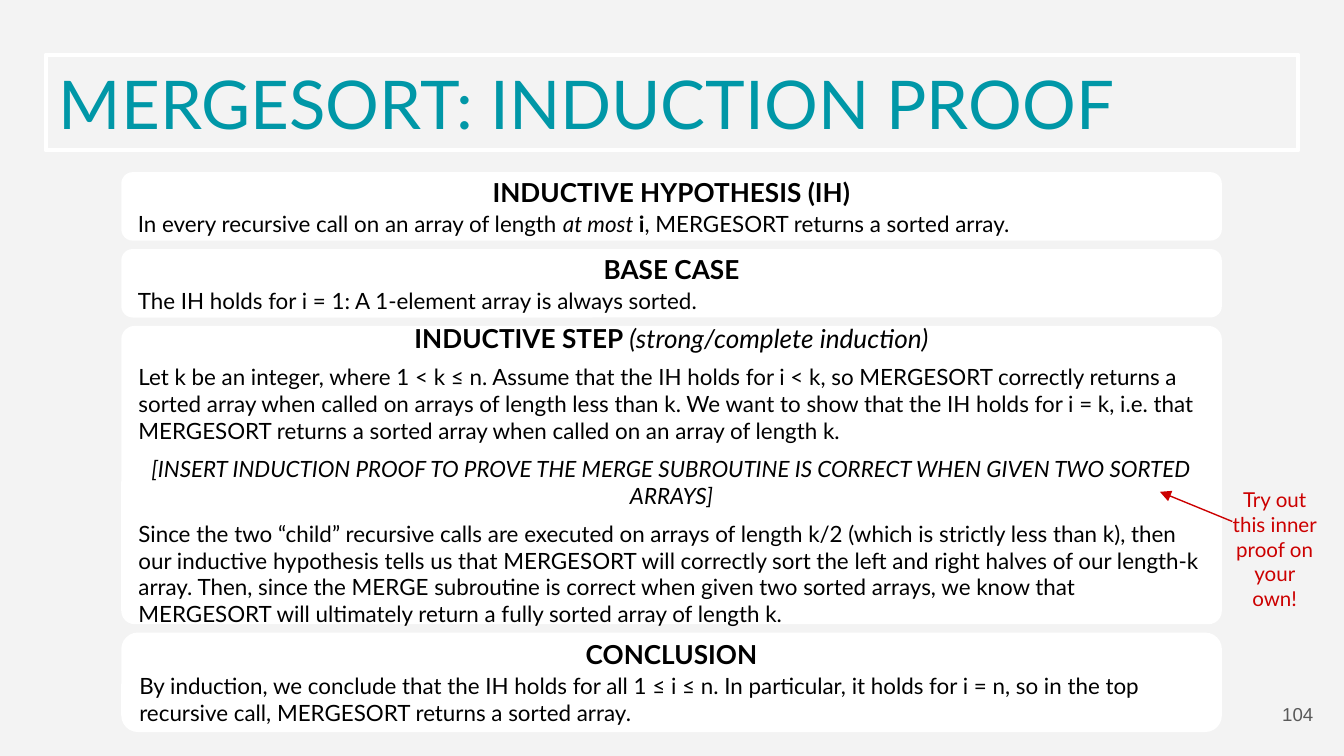
from lxml.etree import SubElement
from pptx import Presentation
from pptx.dml.color import RGBColor
from pptx.enum.shapes import MSO_CONNECTOR, MSO_SHAPE
from pptx.enum.text import MSO_ANCHOR, PP_ALIGN as Align
from pptx.oxml.ns import qn
from pptx.util import Pt

PAPER, WHITE, BLACK = "F3F3F3", "FFFFFF", "000000"
TEAL, RED, GRAY = "0097A7", "CC0000", "595959"

TITLE = "MERGESORT: INDUCTION PROOF"
HINT = "Try out this inner proof on your own!"
PAGE = "104"

# Runs are (text, style), style being any of "b" and "i".
# Paragraphs are (alignment, size, space before, space after, runs).
# Cards are (height, corner ratio, paragraphs).
CARDS = [
    (36.7, 0.167, [
        (Align.CENTER, 14, 0, 0, [("INDUCTIVE HYPOTHESIS (IH)", "b")]),
        (Align.LEFT, 12, 1.2, 0, [
            ("In every recursive call on an array of length ", ""),
            ("at most ", "i"), ("i", "b"),
            (", MERGESORT returns a sorted array.", "")]),
    ]),
    (36.7, 0.167, [
        (Align.CENTER, 14, 0, 0, [("BASE CASE", "b")]),
        (Align.LEFT, 12, 1.2, 0, [
            ("The IH holds for i = 1: A 1-element array is always sorted.", "")]),
    ]),
    (159.8, 0.045, [
        (Align.CENTER, 14, 0, 0, [
            ("INDUCTIVE STEP ", "b"), ("(strong/complete induction)", "i")]),
        (Align.LEFT, 12, 4.8, 0, [
            ("Let k be an integer, where 1 < k ≤ n. Assume that the IH holds for "
             "i < k, so MERGESORT correctly returns a sorted array when called on "
             "arrays of length less than k. We want to show that the IH holds for "
             "i = k, i.e. that MERGESORT returns a sorted array when called on an "
             "array of length k.", "")]),
        (Align.CENTER, 12, 6, 0, [
            ("[INSERT INDUCTION PROOF TO PROVE THE MERGE SUBROUTINE IS CORRECT "
             "WHEN GIVEN TWO SORTED ARRAYS]", "i")]),
        (Align.LEFT, 12, 6, 6, [
            ("Since the two “child” recursive calls are executed on arrays of "
             "length k/2 (which is strictly less than k), then our inductive "
             "hypothesis tells us that MERGESORT will correctly sort the left and "
             "right halves of our length-k array. Then, since the MERGE subroutine "
             "is correct when given two sorted arrays, we know that MERGESORT will "
             "ultimately return a fully sorted array of length k.", "")]),
    ]),
    (53.3, 0.167, [
        (Align.CENTER, 14, 0, 0, [("CONCLUSION", "b")]),
        (Align.LEFT, 12, 1.2, 0, [
            ("By induction, we conclude that the IH holds for all 1 ≤ i ≤ n. In "
             "particular, it holds for i = n, so in the top recursive call, "
             "MERGESORT returns a sorted array.", "")]),
    ]),
]
CARD_LEFT, CARD_TOP, CARD_WIDTH, CARD_GAP = 65, 92.2, 589.6, 4.5


def rgb(code):
    return RGBColor.from_string(code)


def write(shape, paragraphs, color=BLACK, font="Lato"):
    frame = shape.text_frame
    frame.word_wrap = True
    frame.vertical_anchor = MSO_ANCHOR.MIDDLE
    frame.margin_left = frame.margin_right = Pt(7.2)
    frame.margin_top = frame.margin_bottom = Pt(7.2)
    for index, (align, size, before, after, runs) in enumerate(paragraphs):
        paragraph = frame.add_paragraph() if index else frame.paragraphs[0]
        paragraph.alignment = align
        paragraph.space_before, paragraph.space_after = Pt(before), Pt(after)
        for text, style in runs:
            run = paragraph.add_run()
            run.text = text
            run.font.name, run.font.size = font, Pt(size)
            run.font.bold, run.font.italic = "b" in style, "i" in style
            run.font.color.rgb = rgb(color)


def add_label(slide, box, text, align, size, color, font="Lato"):
    label = slide.shapes.add_textbox(*map(Pt, box))
    write(label, [(align, size, 0, 0, [(text, "")])], color, font)


def add_title(slide):
    title = slide.shapes.add_shape(MSO_SHAPE.RECTANGLE, *map(Pt, (24.5, 29.3, 671, 51.3)))
    title.shadow.inherit = False
    title.fill.background()
    title.line.color.rgb = rgb(WHITE)
    title.line.width = Pt(2.25)
    write(title, [(Align.LEFT, 36, 0, 0, [(TITLE, "")])], TEAL)


def add_cards(slide):
    top = CARD_TOP
    for height, corner, paragraphs in CARDS:
        card = slide.shapes.add_shape(MSO_SHAPE.ROUNDED_RECTANGLE, Pt(CARD_LEFT),
                                      Pt(top), Pt(CARD_WIDTH), Pt(height))
        card.adjustments[0] = corner
        card.shadow.inherit = False
        card.fill.solid()
        card.fill.fore_color.rgb = rgb(WHITE)
        card.line.fill.background()
        write(card, paragraphs)
        top += height + CARD_GAP


def add_arrow(slide, start, end):
    arrow = slide.shapes.add_connector(MSO_CONNECTOR.STRAIGHT, *map(Pt, start + end))
    arrow.line.color.rgb = rgb(RED)
    arrow.line.width = Pt(0.75)
    SubElement(arrow.line._get_or_add_ln(), qn("a:tailEnd"), type="triangle")
    SubElement(arrow._element.spPr, qn("a:effectLst"))


def main():
    deck = Presentation()
    deck.slide_width, deck.slide_height = Pt(720), Pt(405)
    slide = deck.slides.add_slide(deck.slide_layouts[6])
    slide.background.fill.solid()
    slide.background.fill.fore_color.rgb = rgb(PAPER)
    add_title(slide)
    add_cards(slide)
    add_label(slide, (651.6, 255.6, 62.6, 77), HINT, Align.CENTER, 11, RED)
    add_arrow(slide, (660.2, 279.4), (621.4, 263.5))
    add_label(slide, (667.4, 367.2, 43.2, 31), PAGE, Align.RIGHT, 10, GRAY, "Arial")
    deck.save("out.pptx")


if __name__ == "__main__":
    main()
